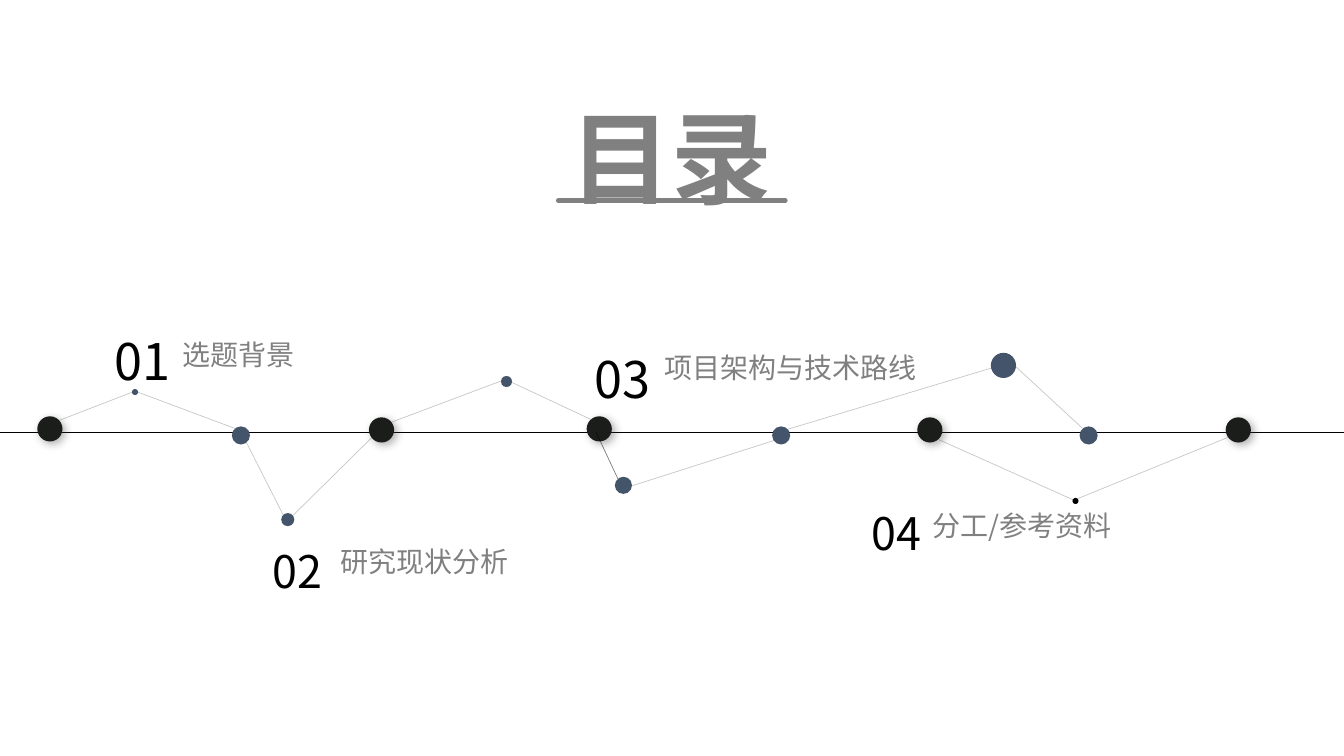
from lxml import etree
from pptx import Presentation
from pptx.dml.color import RGBColor
from pptx.enum.shapes import MSO_CONNECTOR, MSO_SHAPE
from pptx.enum.text import MSO_ANCHOR, MSO_AUTO_SIZE, PP_ALIGN
from pptx.oxml.ns import qn
from pptx.util import Pt

STRAIGHT = MSO_CONNECTOR.STRAIGHT
OVAL = MSO_SHAPE.OVAL
LEFT, CENTER = PP_ALIGN.LEFT, PP_ALIGN.CENTER
TOP, MIDDLE = MSO_ANCHOR.TOP, MSO_ANCHOR.MIDDLE
GROW = MSO_AUTO_SIZE.SHAPE_TO_FIT_TEXT

PX = 9144
SLIDE_W, SLIDE_H = 1333.33, 750
FONT = "Noto Sans CJK SC"
GRAY, BLACK, INK, SLATE = "808080", "000000", "1A1D1A", "44546A"

TITLE = ("目录", 420, 40, 492, 170)
TITLE_RULE = (554, 199, 779, 199)
TIMELINE_Y = 429

CHAPTERS = [
    ("01", 36, (45, 323, 193, 71), "选题背景", (171, 330, 304, 44)),
    ("02", 32, (199, 534, 193, 64), "研究现状分析", (328, 535, 362, 44)),
    ("03", 36, (521, 340, 193, 71), "项目架构与技术路线", (649, 343, 362, 44)),
    ("04", 32, (793, 497, 193, 64), "分工/参考资料", (915, 500, 362, 44)),
]

MILESTONE_SIZE, JUNCTION_SIZE, JUNCTION_Y = 25, 18, 423
MILESTONES = [(37, 413), (366, 414), (582, 413), (910, 414), (1216, 414)]
JUNCTIONS = [230, 766, 1071]
PEAKS = [
    (279, 509, 13, SLATE), (497, 373, 11, SLATE), (610, 473, 17, SLATE),
    (983, 350, 25, SLATE), (131, 386, 6, SLATE), (1064, 494, 6, BLACK),
]
FAINT, STRONG = 21, 51
LINKS = [
    (59, 417, 134, 388, FAINT), (134, 388, 233, 425, FAINT),
    (244, 438, 281, 511, FAINT), (290, 512, 369, 434, FAINT),
    (388, 419, 497, 378, FAINT), (586, 416, 507, 379, FAINT),
    (591, 428, 613, 475, STRONG), (768, 437, 627, 482, FAINT),
    (984, 365, 781, 426, FAINT), (1074, 425, 1008, 364, FAINT),
    (1065, 496, 931, 436, FAINT), (1218, 434, 1066, 496, FAINT),
]


def emu(*lengths):
    return [round(length * PX) for length in lengths]


def rgb(color):
    return RGBColor.from_string(color)


def add_line(ends, color, width, opacity=100, cap=None):
    line = slide.shapes.add_connector(STRAIGHT, *emu(*ends))
    line.line.color.rgb = rgb(color)
    line.line.width = Pt(width)
    properties = line._element.spPr
    if cap:
        properties.find(qn("a:ln")).set("cap", cap)
    if opacity < 100:
        tint = next(properties.iter(qn("a:srgbClr")))
        etree.SubElement(tint, qn("a:alpha"), val=str(opacity * 1000))
    etree.SubElement(properties, qn("a:effectLst"))


def add_dot(left, top, size, color):
    dot = slide.shapes.add_shape(OVAL, *emu(left, top, size, size))
    dot.shadow.inherit = False
    dot.fill.solid()
    dot.fill.fore_color.rgb = rgb(color)
    dot.line.fill.background()
    return dot


def add_shadow(dot):
    effects = dot._element.spPr.find(qn("a:effectLst"))
    shadow = etree.SubElement(
        effects, qn("a:outerShdw"), blurRad=str(Pt(6)), dist=str(Pt(3)),
        dir=str(45 * 60000), algn="tl", rotWithShape="0")
    tint = etree.SubElement(shadow, qn("a:srgbClr"), val="404040")
    etree.SubElement(tint, qn("a:alpha"), val="40000")


def add_text(words, box, size, color, align=LEFT, anchor=TOP, bold=False, spacing=None):
    frame = slide.shapes.add_textbox(*emu(*box)).text_frame
    frame.word_wrap = True
    frame.auto_size = GROW
    frame.vertical_anchor = anchor
    frame.text = words
    paragraph = frame.paragraphs[0]
    paragraph.alignment = align
    paragraph.line_spacing = spacing
    run = paragraph.runs[0]
    run.font.size = Pt(size)
    run.font.bold = bold
    run.font.color.rgb = rgb(color)
    run.font.name = FONT
    etree.SubElement(run.font._element, qn("a:ea"), typeface=FONT)


prs = Presentation()
prs.slide_width, prs.slide_height = emu(SLIDE_W, SLIDE_H)
slide = prs.slides.add_slide(prs.slide_layouts[6])

add_line(TITLE_RULE, GRAY, 3.5, cap="rnd")
add_line((0, TIMELINE_Y, SLIDE_W, TIMELINE_Y), BLACK, 0.75)

for left in JUNCTIONS:
    add_dot(left, JUNCTION_Y, JUNCTION_SIZE, SLATE)
for left, top in MILESTONES:
    add_shadow(add_dot(left, top, MILESTONE_SIZE, INK))
for *ends, opacity in LINKS:
    add_line(ends, BLACK, 0.5, opacity)
for peak in PEAKS:
    add_dot(*peak)

for number, number_size, number_box, topic, topic_box in CHAPTERS:
    add_text(number, number_box, number_size, BLACK, CENTER)
    add_text(topic, topic_box, 20, GRAY)

title, *title_box = TITLE
add_text(title, title_box, 72, GRAY, CENTER, MIDDLE, bold=True, spacing=1.5)

prs.save("out.pptx")
